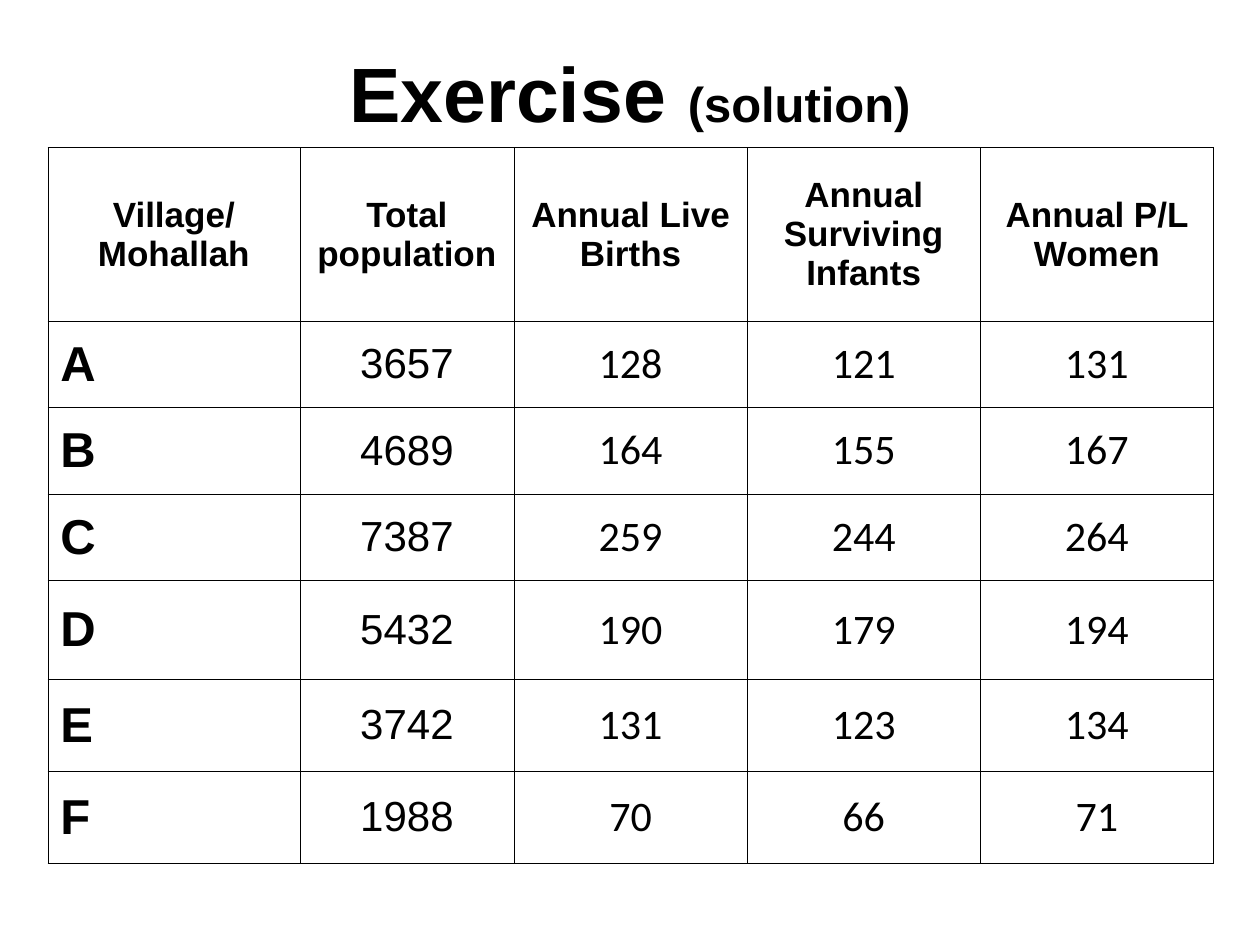
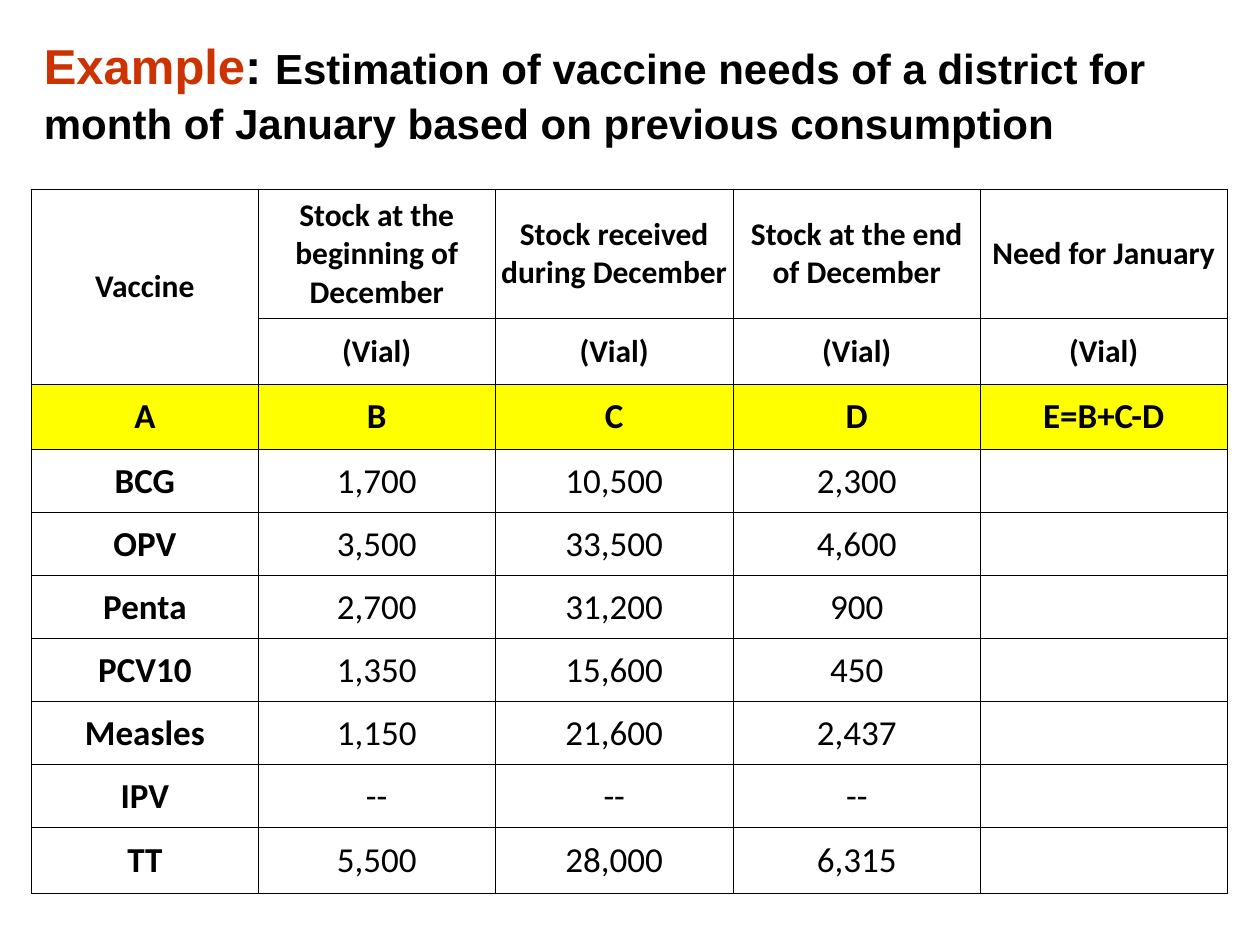
from lxml import etree
from pptx import Presentation
from pptx.dml.color import RGBColor
from pptx.enum import text
from pptx.oxml import ns
from pptx.util import Inches, Pt

# Shared look
BLACK, RED, YELLOW = "000000", "CC3300", "FFFF00"
HEADING_FONT, NUMBER_FONT = "Arial", "Calibri"
LEFT, CENTER = text.PP_ALIGN.LEFT, text.PP_ALIGN.CENTER
MIDDLE = text.MSO_ANCHOR.MIDDLE
BORDER_WIDTH = Pt(0.45)
WIDE, NARROW = 0.1, 0.01  # side margins of cells

# Slide contents
POPULATION = [
    ["Village/ Mohallah", "Total population", "Annual Live Births",
     "Annual Surviving Infants", "Annual P/L Women"],
    ["A", "3657", "128", "121", "131"],
    ["B", "4689", "164", "155", "167"],
    ["C", "7387", "259", "244", "264"],
    ["D", "5432", "190", "179", "194"],
    ["E", "3742", "131", "123", "134"],
    ["F", "1988", "70", "66", "71"],
]
VACCINES = [
    ["Vaccine", "Stock at the beginning of December", "Stock received during December",
     "Stock at the end of December", "Need for January"],
    [""] + ["(Vial)"] * 4,
    ["A", "B", "C", "D", "E=B+C-D"],
    ["BCG", "1,700", "10,500", "2,300", ""],
    ["OPV", "3,500", "33,500", "4,600", ""],
    ["Penta", "2,700", "31,200", "900", ""],
    ["PCV10", "1,350", "15,600", "450", ""],
    ["Measles", "1,150", "21,600", "2,437", ""],
    ["IPV", "--", "--", "--", ""],
    ["TT", "5,500", "28,000", "6,315", ""],
]


def rgb(color):
    return RGBColor.from_string(color)


def style_font(font, name, size, bold, color=BLACK):
    font.name, font.size, font.bold = name, Pt(size), bold
    font.color.rgb = rgb(color)


def add_title(s, box, runs, align):
    """Bold heading; runs are (text, size, color)."""
    tf = s.shapes.add_textbox(*map(Inches, box)).text_frame
    tf.word_wrap = True
    tf.vertical_anchor = MIDDLE
    p = tf.paragraphs[0]
    p.alignment = align
    p.line_spacing = 1.07
    for words, size, color in runs:
        r = p.add_run()
        r.text = words
        style_font(r.font, HEADING_FONT, size, True, color)


def add_borders(cell):
    tc_pr = cell._tc.get_or_add_tcPr()
    for i, side in enumerate(("lnL", "lnR", "lnT", "lnB")):
        line = etree.Element(ns.qn(f"a:{side}"), w=str(BORDER_WIDTH))
        fill = etree.SubElement(line, ns.qn("a:solidFill"))
        etree.SubElement(fill, ns.qn("a:srgbClr"), val=BLACK)
        tc_pr.insert(i, line)


def add_grid(s, left, top, widths, heights, rows, cell_style):
    """Bordered table; cell_style(row, col) gives font, size, bold, align, margin, fill."""
    frame = s.shapes.add_table(len(rows), len(widths), Inches(left), Inches(top),
                               Inches(sum(widths)), Inches(sum(heights)))
    table = frame.table
    table.first_row = table.horz_banding = False
    for column, width in zip(table.columns, widths):
        column.width = Inches(width)
    for row, height in zip(table.rows, heights):
        row.height = Inches(height)
    for i, values in enumerate(rows):
        for j, value in enumerate(values):
            cell = table.cell(i, j)
            font, size, bold, align, margin, fill = cell_style(i, j)
            cell.vertical_anchor = MIDDLE
            cell.margin_left = cell.margin_right = Inches(margin)
            if fill:
                cell.fill.solid()
                cell.fill.fore_color.rgb = rgb(fill)
            else:
                cell.fill.background()
            add_borders(cell)
            p = cell.text_frame.paragraphs[0]
            p.alignment = align
            style_font(p.font, font, size, bold)
            if value:
                p.add_run().text = value
    return table


def population_style(row, col):
    if row == 0:
        return HEADING_FONT, 20, True, CENTER, WIDE, None
    if col == 0:
        return HEADING_FONT, 28, True, LEFT, WIDE, None
    if col == 1:
        return HEADING_FONT, 24, False, CENTER, WIDE, None
    return NUMBER_FONT, 24, False, CENTER, NARROW, None


def vaccine_style(row, col):
    size = 18 if row < 2 else 20
    bold = row < 3 or col == 0
    return NUMBER_FONT, size, bold, CENTER, NARROW, YELLOW if row == 2 else None


def main():
    prs = Presentation()
    prs.slide_width, prs.slide_height = Inches(10), Inches(7.5)
    blank = prs.slide_layouts[6]

    # Exercise solution
    s = prs.slides.add_slide(blank)
    add_title(s, (0.5, 0.08, 9, 1.25),
              [("Exercise ", 44, BLACK), ("(solution)", 28, BLACK)], CENTER)
    add_grid(s, 0.38, 1.17, [2, 1.7] + [1.85] * 3,
             [1.38, 0.68, 0.69, 0.69, 0.78, 0.73, 0.73], POPULATION, population_style)

    # Vaccine needs
    s = prs.slides.add_slide(blank)
    add_title(s, (0.25, 0.25, 9.75, 0.92),
              [("Example", 28, RED), (": ", 28, BLACK),
               ("Estimation of vaccine needs of a district for month of January "
                "based on previous consumption", 24, BLACK)], LEFT)
    table = add_grid(s, 0.25, 1.5, [1.8, 1.88, 1.89, 1.96, 1.96],
                     [1.03, 0.52, 0.52] + [0.5] * 6 + [0.52], VACCINES, vaccine_style)
    table.cell(0, 0).merge(table.cell(1, 0))

    prs.save("out.pptx")


if __name__ == "__main__":
    main()
